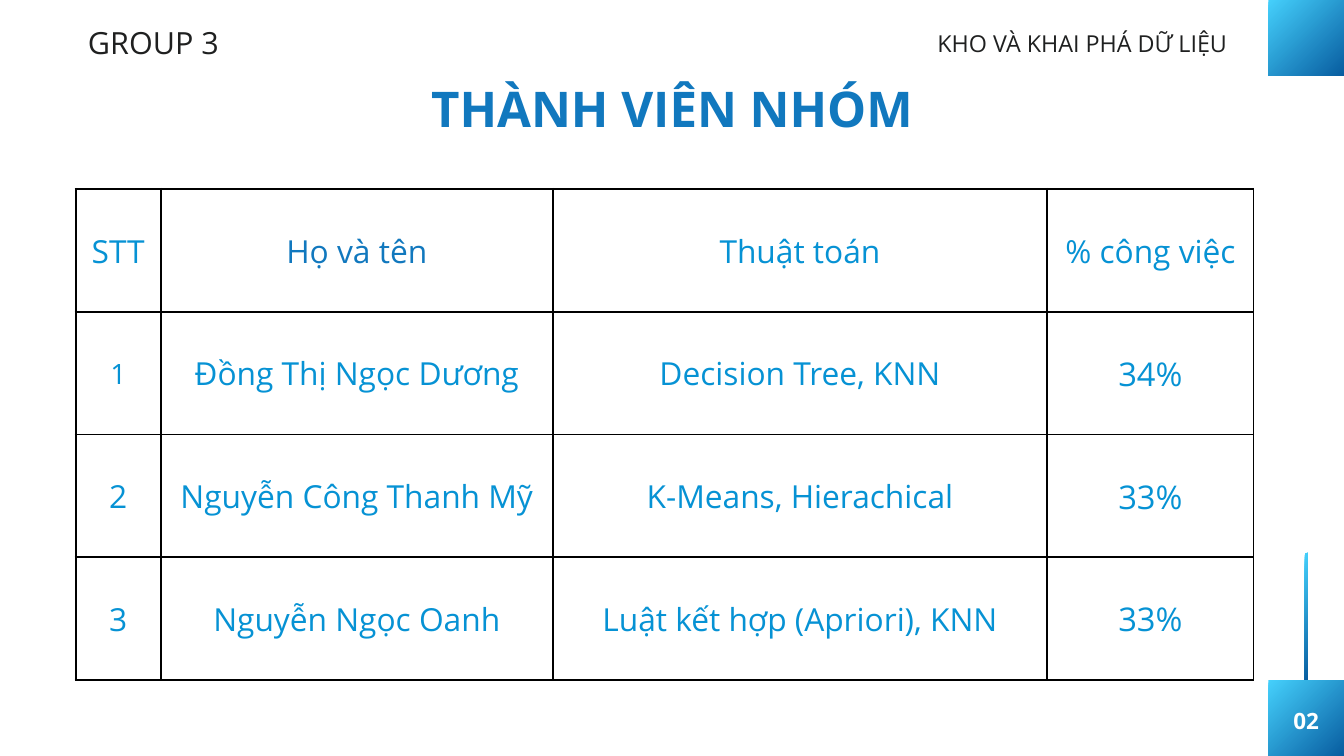
from lxml import etree
from pptx import Presentation
from pptx.dml.color import RGBColor
from pptx.enum.shapes import MSO_SHAPE
from pptx.enum.text import MSO_ANCHOR, PP_ALIGN
from pptx.oxml.ns import qn
from pptx.util import Inches, Pt

RECTANGLE = MSO_SHAPE.RECTANGLE
MIDDLE = MSO_ANCHOR.MIDDLE
LEFT, CENTER = PP_ALIGN.LEFT, PP_ALIGN.CENTER

WHITE = RGBColor(0xFF, 0xFF, 0xFF)
INK = RGBColor(0x1F, 0x20, 0x20)
BLUE = RGBColor(0x11, 0x78, 0xBE)
BRIGHT_BLUE = RGBColor(0x06, 0x92, 0xD4)
GRADIENT_START = RGBColor(0x45, 0xD0, 0xFC)
GRADIENT_END = RGBColor(0x08, 0x5D, 0xA0)
BORDER = RGBColor(0, 0, 0)

FONT = "Open Sans"
LEADING = 1.4
WIDTH, HEIGHT = 20, 11.25
CORNER = HEIGHT / 10  # side of the corner squares

COLUMN_WIDTHS = (1.27, 5.83, 7.36, 3.07)
MEMBERS = (
    ("STT", "Họ và tên", "Thuật toán", "% công việc"),
    ("1", "Đồng Thị Ngọc Dương", "Decision Tree, KNN", "34%"),
    ("2", "Nguyễn Công Thanh Mỹ", "K-Means, Hierachical", "33%"),
    ("3", "Nguyễn Ngọc Oanh", "Luật kết hợp (Apriori), KNN", "33%"),
)


def write(text_frame, text, size, color, align=CENTER, bold=False):
    text_frame.text = text
    paragraph = text_frame.paragraphs[0]
    paragraph.alignment = align
    paragraph.line_spacing = Pt(round(size * LEADING, 1))
    font = paragraph.runs[0].font
    font.name, font.size, font.bold = FONT, Pt(size), bold
    font.color.rgb = color


def add_label(slide, box, text, size, color, align=CENTER, bold=False):
    text_frame = slide.shapes.add_textbox(*map(Inches, box)).text_frame
    text_frame.margin_left = text_frame.margin_right = 0
    text_frame.margin_top = text_frame.margin_bottom = 0
    text_frame.word_wrap = True
    write(text_frame, text, size, color, align, bold)


def add_gradient_block(slide, box):
    block = slide.shapes.add_shape(RECTANGLE, *map(Inches, box))
    block.shadow.inherit = False
    block.line.fill.background()
    block.fill.gradient()
    block.fill.gradient_angle = 315  # top left to bottom right
    for stop, color in zip(block.fill.gradient_stops, (GRADIENT_START, GRADIENT_END)):
        stop.color.rgb = color


def add_borders(cell, color, width):
    properties = cell._tc.get_or_add_tcPr()
    for side in ("a:lnL", "a:lnR", "a:lnT", "a:lnB"):
        line = etree.SubElement(properties, qn(side), w=str(Pt(width)))
        fill = etree.SubElement(line, qn("a:solidFill"))
        etree.SubElement(fill, qn("a:srgbClr"), val=str(color))


def cell_style(row, column):
    """Size and colour of the text in one cell."""
    if row == 0:
        return 34, BLUE if column == 1 else BRIGHT_BLUE
    if column == len(COLUMN_WIDTHS) - 1:
        return 35, BRIGHT_BLUE
    return 30 if (row, column) == (1, 0) else 34, BRIGHT_BLUE


def add_member_table(slide, box):
    frame = slide.shapes.add_table(len(MEMBERS), len(COLUMN_WIDTHS), *map(Inches, box))
    table = frame.table
    table.first_row = table.horz_banding = False
    for column, share in zip(table.columns, COLUMN_WIDTHS):
        column.width = Inches(box[2] * share / sum(COLUMN_WIDTHS))
    for row_index, member in enumerate(MEMBERS):
        for column_index, text in enumerate(member):
            cell = table.cell(row_index, column_index)
            add_borders(cell, BORDER, 2.25)
            cell.fill.background()
            cell.vertical_anchor = MIDDLE
            cell.margin_left = cell.margin_right = Inches(0.21)
            cell.margin_top = cell.margin_bottom = Inches(0.21)
            write(cell.text_frame, text, *cell_style(row_index, column_index))


def add_header(slide, left, right):
    add_label(slide, (left, 0.27, 2.2, 0.61), "GROUP 3", 32.7, INK, LEFT)
    add_label(slide, (right - 4.7, 0.36, 4.7, 0.46), "KHO VÀ KHAI PHÁ DỮ LIỆU", 25, INK, LEFT)
    add_label(slide, (6.39, 1.02, 7.22, 0.98), "THÀNH VIÊN NHÓM", 52.7, BLUE, bold=True)


def add_side_strip(slide, left, side):
    bottom = HEIGHT - side
    bar_width, bar_height = 0.05, 1.9
    # Bar standing on the page-number square
    add_gradient_block(slide, (left + (side - bar_width) / 2, bottom - bar_height,
                               bar_width, bar_height))
    # Corner squares
    for top in (0, bottom):
        add_gradient_block(slide, (left, top, side, side))
    # Page number
    add_label(slide, (left + (side - 0.6) / 2, bottom + 0.33, 0.6, 0.43),
              "02", 24, WHITE, bold=True)


def main():
    presentation = Presentation()
    presentation.slide_width = Inches(WIDTH)
    presentation.slide_height = Inches(HEIGHT)
    slide = presentation.slides.add_slide(presentation.slide_layouts[6])
    add_member_table(slide, (CORNER, 2.81, sum(COLUMN_WIDTHS), HEIGHT * 0.65))
    add_header(slide, 1.31, 18.65)
    add_side_strip(slide, WIDTH - CORNER, CORNER)
    presentation.save("out.pptx")


if __name__ == "__main__":
    main()
